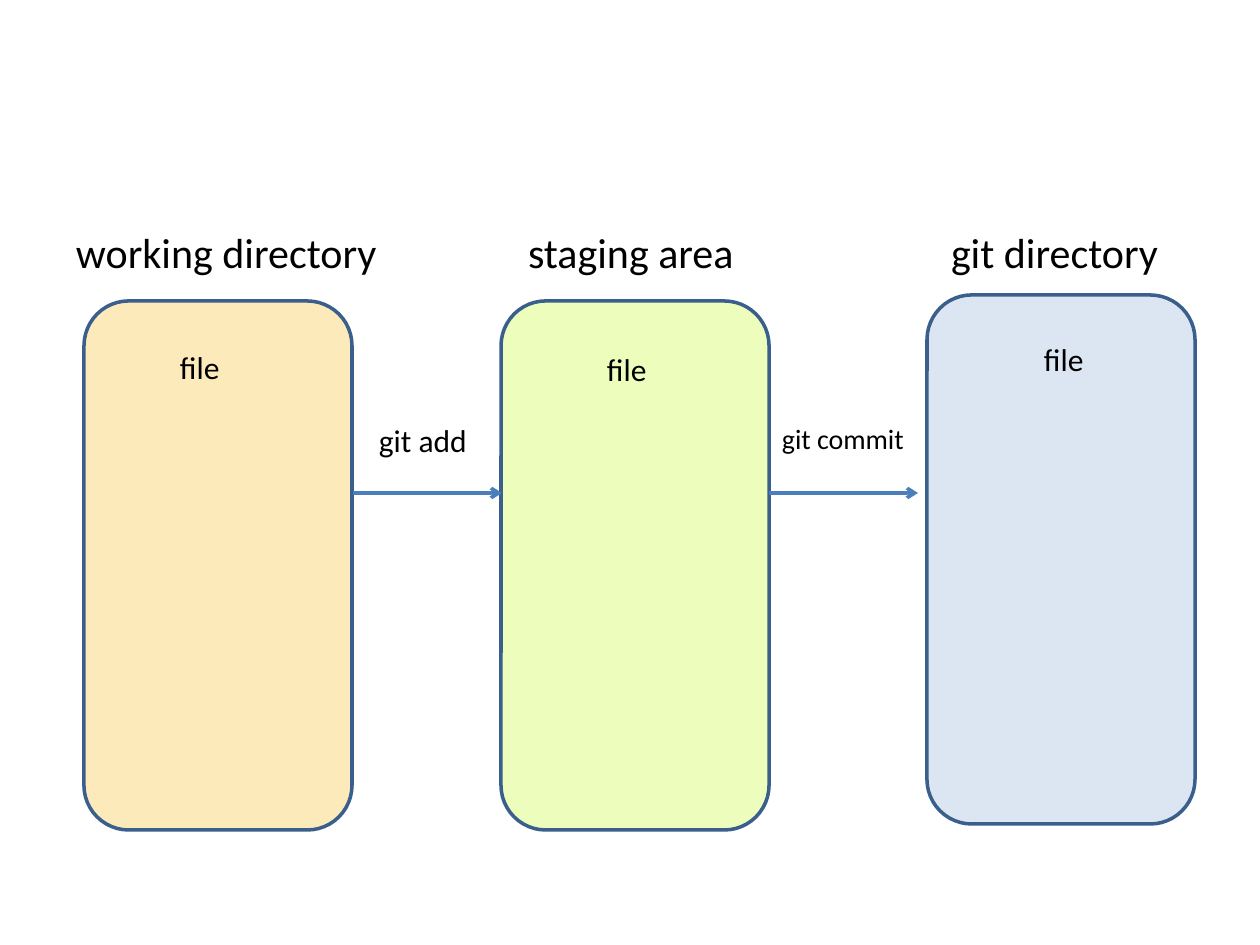
from lxml import etree
from pptx import Presentation
from pptx.dml.color import RGBColor
from pptx.enum.shapes import MSO_CONNECTOR, MSO_SHAPE
from pptx.enum.text import MSO_ANCHOR, MSO_AUTO_SIZE
from pptx.oxml.ns import qn
from pptx.util import Emu, Pt

ROUNDED = MSO_SHAPE.ROUNDED_RECTANGLE
STRAIGHT = MSO_CONNECTOR.STRAIGHT
TOP = MSO_ANCHOR.TOP
GROW = MSO_AUTO_SIZE.SHAPE_TO_FIT_TEXT

BLACK = RGBColor(0x00, 0x00, 0x00)
OUTLINE = RGBColor(0x3A, 0x5F, 0x8C)
ARROW = RGBColor(0x4B, 0x7E, 0xBC)
SAND = RGBColor(0xFD, 0xEA, 0xBB)
LIME = RGBColor(0xED, 0xFD, 0xBB)
PALE_BLUE = RGBColor(0xDC, 0xE6, 0xF2)

EMU_PER_PX = 914400 / 126
FONT = "Calibri"
AREA_W, AREA_H = 268, 529
FILE_W, LABEL_H = 98, 50
COMMAND_W, COMMAND_TOP = 149, 415
HEADING_TOP, HEADING_SIZE = 220, 24
ARROW_Y = 493
INSET, INDENTED = 13, 26

AREAS = [
    (84, 301, SAND, 154, 342),
    (501, 301, LIME, 581, 344),
    (927, 295, PALE_BLUE, 1018, 334),
]
COMMANDS = [
    ("git add", 353, 18, INDENTED),
    ("git commit", 769, 16, INSET),
]
FIRST_HEADING = "working directory"
OTHER_HEADINGS = [("staging area", 515), ("git directory", 938)]


def px(length):
    return Emu(round(length * EMU_PER_PX))


def write(frame, text, size=18, color=BLACK, inset=INSET):
    frame.word_wrap = True
    frame.vertical_anchor = TOP
    frame.margin_left = px(inset)
    paragraph = frame.paragraphs[0]
    paragraph.space_before = Pt(0)
    run = paragraph.add_run()
    run.text = text
    run.font.name = FONT
    run.font.size = Pt(size)
    run.font.color.rgb = color
    return paragraph


def add_label(slide, text, left, top, width, **text_format):
    label = slide.shapes.add_textbox(px(left), px(top), px(width), px(LABEL_H))
    write(label.text_frame, text, **text_format)
    label.text_frame.auto_size = GROW


def add_headings(slide):
    body = slide.placeholders[1]
    body.left, body.top = px(63), px(HEADING_TOP)
    body.width, body.height = px(1134), px(624)
    paragraph = write(body.text_frame, FIRST_HEADING, size=HEADING_SIZE)
    properties = paragraph._p.get_or_add_pPr()
    properties.set("marL", "0")
    properties.set("indent", "0")
    etree.SubElement(properties, qn("a:buNone"))
    for heading, left in OTHER_HEADINGS:
        add_label(slide, heading, left, HEADING_TOP, AREA_W, size=HEADING_SIZE)


def add_area(slide, left, top, color):
    area = slide.shapes.add_shape(ROUNDED, px(left), px(top), px(AREA_W), px(AREA_H))
    area.shadow.inherit = False
    area.fill.solid()
    area.fill.fore_color.rgb = color
    area.line.color.rgb = OUTLINE
    area.line.width = Pt(2)


def add_arrow(slide, start, end, y):
    arrow = slide.shapes.add_connector(STRAIGHT, px(start), px(y), px(end), px(y))
    arrow.line.color.rgb = ARROW
    arrow.line.width = Pt(2)
    etree.SubElement(arrow.line._get_or_add_ln(), qn("a:tailEnd"), type="arrow")
    etree.SubElement(arrow._element.spPr, qn("a:effectLst"))


def main():
    deck = Presentation()
    deck.slide_width, deck.slide_height = px(1260), px(945)
    slide = deck.slides.add_slide(deck.slide_layouts[1])
    empty_title = slide.shapes.title._element
    empty_title.getparent().remove(empty_title)

    add_headings(slide)
    for left, top, color, file_left, file_top in AREAS:
        add_area(slide, left, top, color)
        add_label(slide, "file", file_left, file_top, FILE_W, inset=INDENTED)
    for command, left, size, inset in COMMANDS:
        add_label(slide, command, left, COMMAND_TOP, COMMAND_W, size=size, inset=inset)
        add_arrow(slide, left, left + COMMAND_W, ARROW_Y)

    deck.save("out.pptx")


if __name__ == "__main__":
    main()
